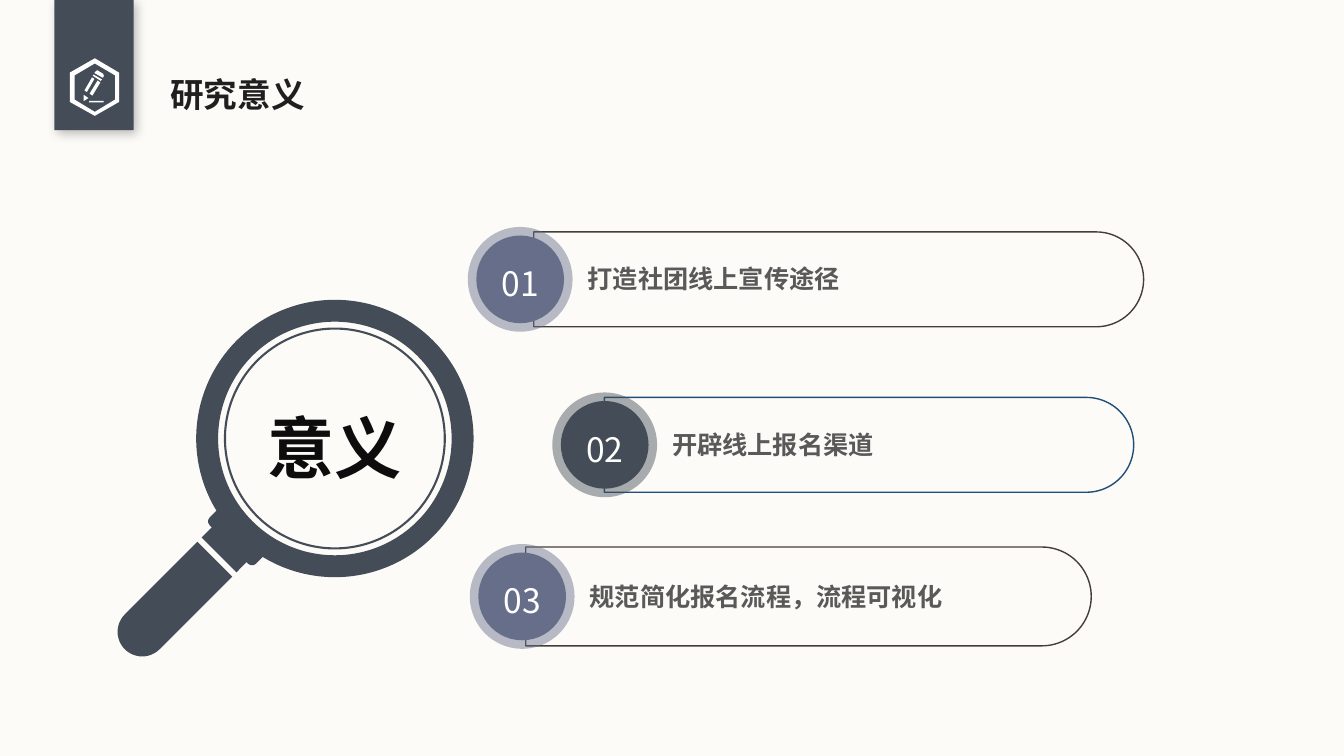
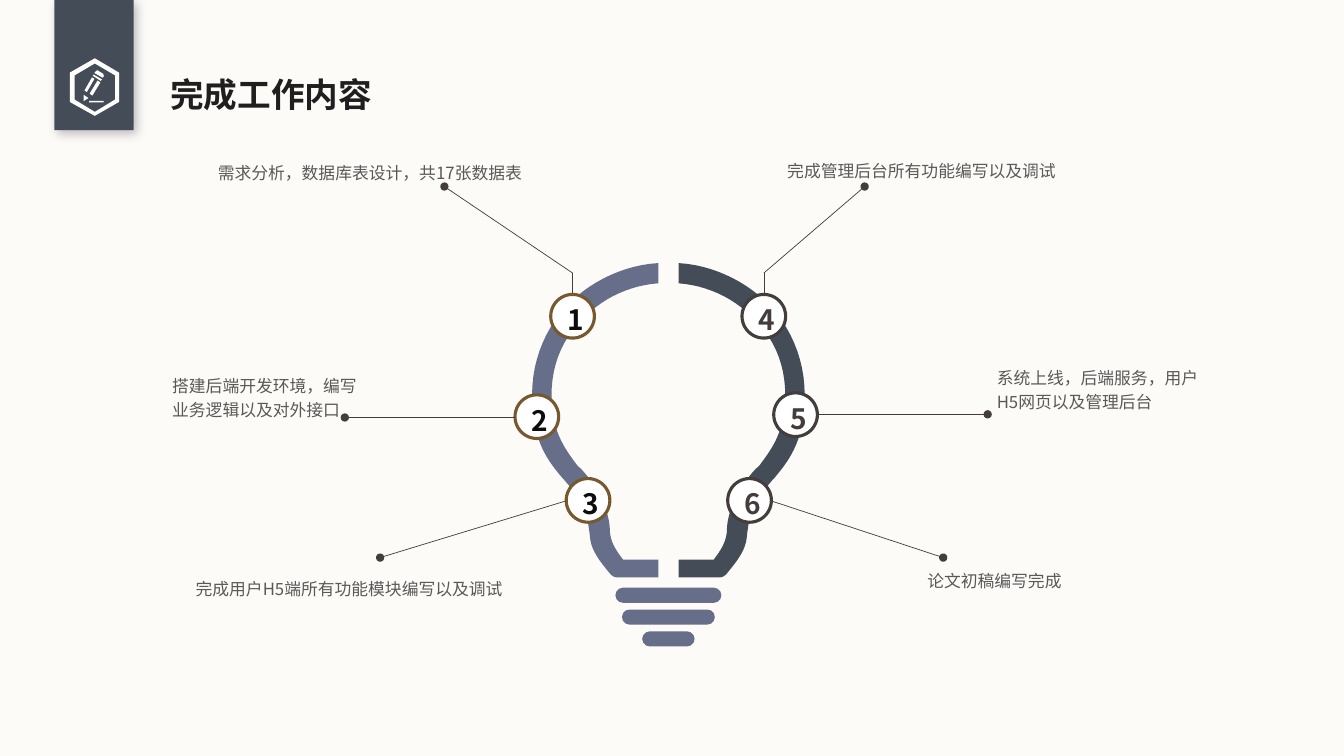
"""Build two thesis slides: research value and finished work."""
from lxml import etree
from pptx import Presentation
from pptx.dml.color import RGBColor
from pptx.enum.shapes import MSO_CONNECTOR, MSO_SHAPE
from pptx.enum.text import MSO_ANCHOR, MSO_AUTO_SIZE, PP_ALIGN
from pptx.oxml.ns import qn
from pptx.util import Cm, Pt

PAPER = RGBColor(0xFC, 0xFB, 0xF7)
SLATE = RGBColor(0x44, 0x4D, 0x57)
MAUVE = RGBColor(0x66, 0x6E, 0x8A)
BROWN = RGBColor(0x76, 0x59, 0x2F)
DARK = RGBColor(0x43, 0x3D, 0x3C)
NAVY = RGBColor(0x1F, 0x4E, 0x78)
INK = RGBColor(0x0D, 0x0D, 0x0D)
HEAD = RGBColor(0x21, 0x1E, 0x20)
GREY = RGBColor(0x59, 0x59, 0x59)
WHITE = RGBColor(0xFF, 0xFF, 0xFF)

OVAL, DONUT = MSO_SHAPE.OVAL, MSO_SHAPE.DONUT
RECT, ROUND = MSO_SHAPE.RECTANGLE, MSO_SHAPE.ROUNDED_RECTANGLE
TAB = MSO_SHAPE.ROUND_2_SAME_RECTANGLE
STRAIGHT = MSO_CONNECTOR.STRAIGHT
TOP, MIDDLE = MSO_ANCHOR.TOP, MSO_ANCHOR.MIDDLE
LEFT, CENTER, JUST = PP_ALIGN.LEFT, PP_ALIGN.CENTER, PP_ALIGN.JUSTIFY
FIXED = MSO_AUTO_SIZE.NONE

SANS, LATIN = "Noto Sans CJK SC", "Calibri"
AXIS = 16.845

ICON = [
    [(2.39, 1.47), (3, 1.83), (3, 2.57), (2.39, 2.92), (1.76, 2.57), (1.76, 1.83)],
    [(2.39, 1.6), (2.9, 1.9), (2.9, 2.51), (2.39, 2.82), (1.88, 2.51), (1.88, 1.9)],
    [(2.25, 2.54), (2.61, 2.54), (2.61, 2.58), (2.25, 2.58)],
    [(2.26, 2.36), (2.46, 2.03), (2.53, 2.08), (2.33, 2.41)],
    [(2.13, 2.28), (2.32, 1.95), (2.38, 1.99), (2.19, 2.32)],
    [(2.11, 2.55), (2.11, 2.39), (2.23, 2.47)],
    [(2.36, 1.88), (2.34, 1.91), (2.54, 2.04), (2.57, 2)],
    [(2.39, 1.82), (2.45, 1.77), (2.6, 1.86), (2.62, 1.92), (2.59, 1.96), (2.38, 1.84)],
]
DOME = [
    (13.92, 10.36), (13.9, 10.23, 13.9, 10.1, 13.9, 9.96),
    (13.9, 9.13, 14.22, 8.45, 14.78, 7.95), (15.24, 7.49, 15.9, 7.19, 16.59, 7.14),
    (16.59, 6.63), (15.75, 6.68, 14.96, 7.06, 14.4, 7.59),
    (13.79, 8.18, 13.41, 9.01, 13.41, 9.96), (13.41, 10.1, 13.41, 10.23, 13.42, 10.36),
]
NECK = [
    (15.37, 13.39), (15.37, 13.21, 15.34, 13, 15.21, 12.68),
    (15.01, 12.27, 14.81, 11.96, 14.55, 11.73), (14.35, 11.46, 14.15, 11.2, 14.02, 10.8),
    (13.49, 10.8), (13.64, 11.38, 13.89, 11.71, 14.17, 12.04),
    (14.38, 12.27, 14.58, 12.52, 14.73, 12.88), (14.83, 13.11, 14.83, 13.28, 14.86, 13.44),
    (14.88, 13.74, 14.94, 13.94, 15.37, 14.45), (15.44, 14.53, 15.49, 14.55, 15.57, 14.55),
    (16.59, 14.55), (16.59, 14.1), (15.7, 14.1), (15.42, 13.74, 15.39, 13.56, 15.37, 13.39),
]
GOALS = [
    ("01", "打造社团线上宣传途径", (13.11, 7.04), 13.45, 15.37, 2.39, MAUVE, DARK),
    ("02", "开辟线上报名渠道", (15.24, 11.21), 15.23, 13.34, 2.39, SLATE, NAVY),
    ("03", "规范简化报名流程，流程可视化", (13.16, 15.03), 13.25, 14.25, 2.49, MAUVE, DARK),
]
TASKS = [
    ("1", (14.43, 7.97), [(14.43, 7.39), (14.43, 6.88), (11.2, 4.7)],
     (5.49, 3.99), ["需求分析，数据库表设计，共17张数据表"]),
    ("2", (13.53, 10.5), [(12.98, 10.52), (8.69, 10.52)],
     (4.34, 9.37), ["搭建后端开发环境，编写", "业务逻辑以及对外接口"]),
    ("3", (14.82, 12.61), [(14.27, 12.62), (9.58, 14.05)],
     (4.93, 14.48), ["完成用户H5端所有功能模块编写以及调试"]),
    ("4", (19.25, 7.97), [(19.25, 7.39), (19.25, 6.88), (21.79, 4.7)],
     (19.84, 3.94), ["完成管理后台所有功能编写以及调试"]),
    ("5", (20.05, 10.45), [(20.6, 10.44), (24.89, 10.44)],
     (25.12, 9.17), ["系统上线，后端服务，用户", "H5网页以及管理后台"]),
    ("6", (18.89, 12.61), [(19.43, 12.62), (23.77, 14.05)],
     (23.37, 14.27), ["论文初稿编写完成"]),
]


def write(frame, lines, size, color, bold=False, align=JUST, anchor=TOP, face=SANS):
    """Fill a text frame, one paragraph for each line."""
    frame.word_wrap = True
    frame.vertical_anchor = anchor
    for i, line in enumerate(lines):
        para = frame.add_paragraph() if i else frame.paragraphs[0]
        para.alignment, para.line_spacing = align, 1.2
        run = para.add_run()
        run.text = line
        font = run.font
        font.size, font.bold, font.name = Pt(size), bold, face
        font.color.rgb = color
        etree.SubElement(font._element, qn("a:ea"), typeface=SANS)


def note(slide, box, lines, size, bold=False, inset=None):
    """Add a box of grey text."""
    frame = slide.shapes.add_textbox(*map(Cm, box)).text_frame
    if inset is not None:
        frame.margin_left = frame.margin_right = Cm(inset)
        frame.margin_top = frame.margin_bottom = Cm(inset)
    write(frame, lines, size, GREY, bold)


def paint(shape, fill=None, line=None, width=1):
    """Set fill and line, and drop the shadow."""
    shape.shadow.inherit = False
    if fill is None:
        shape.fill.background()
    else:
        shape.fill.solid()
        shape.fill.fore_color.rgb = fill
    if line is None:
        shape.line.fill.background()
    else:
        shape.line.color.rgb = line
        shape.line.width = Pt(width)


def place(slide, kind, box, fill=None, line=None, width=1, adj=(), turn=0):
    """Add a preset shape."""
    shape = slide.shapes.add_shape(kind, *map(Cm, box))
    for i, value in enumerate(adj):
        shape.adjustments[i] = value
    shape.rotation = turn
    paint(shape, fill, line, width)
    return shape


def disc(slide, mid, size, fill=None, line=None, width=1, kind=OVAL, adj=()):
    """Add a round shape about its centre."""
    box = (mid[0] - size / 2, mid[1] - size / 2, size, size)
    return place(slide, kind, box, fill, line, width, adj)


def trace(steps, count=12):
    """Turn corners and cubic curves into points."""
    points = []
    for step in steps:
        if len(step) == 2:
            points.append(step)
            continue
        knots = [points[-1], step[:2], step[2:4], step[4:]]
        for i in range(1, count + 1):
            t = i / count
            parts = ((1 - t) ** 3, 3 * t * (1 - t) ** 2, 3 * t * t * (1 - t), t ** 3)
            points.append(tuple(sum(w * k[n] for w, k in zip(parts, knots)) for n in (0, 1)))
    return points


def outline(slide, loops, fill):
    """Draw closed loops as one filled outline."""
    loops = [[(Cm(x), Cm(y)) for x, y in loop] for loop in loops]
    pen = slide.shapes.build_freeform(*loops[0][0])
    for i, loop in enumerate(loops):
        if i:
            pen.move_to(*loop[0])
        pen.add_line_segments(loop[1:], close=True)
    paint(pen.convert_to_shape(), fill)


def leader(slide, points):
    """Draw a thin bent line that ends in a dot."""
    for start, end in zip(points, points[1:]):
        line = slide.shapes.add_connector(STRAIGHT, *map(Cm, start + end))
        line.line.color.rgb = DARK
        line.line.width = Pt(0.5)
        etree.SubElement(line._element.spPr, qn("a:effectLst"))
    etree.SubElement(line.line._get_or_add_ln(), qn("a:tailEnd"), type="oval")


def shade(shape):
    """Give a shape a soft shadow."""
    effects = shape._element.spPr.find(qn("a:effectLst"))
    cast = etree.SubElement(effects, qn("a:outerShdw"), blurRad=str(Pt(8)),
                            dist=str(Pt(3)), dir="2700000", algn="tl", rotWithShape="0")
    tint = etree.SubElement(cast, qn("a:srgbClr"), val="000000")
    etree.SubElement(tint, qn("a:alpha"), val="25000")


def start(deck, text):
    """Add a slide with its ribbon, icon and title."""
    slide = deck.slides.add_slide(deck.slide_layouts[5])
    shade(place(slide, RECT, (1.37, 0, 2, 3.28), SLATE))
    outline(slide, ICON, WHITE)
    title = slide.shapes.title
    title.left, title.top, title.width, title.height = map(Cm, (4.04, 1.52, 10.08, 1.27))
    title.text_frame.auto_size = FIXED
    write(title.text_frame, [text], 24, HEAD, True, LEFT, face=LATIN)
    return slide


def lens(slide, text):
    """Draw the magnifying glass."""
    mid = (8.44, 11.05)
    glass = disc(slide, mid, 5.54, line=SLATE, width=1.5)
    write(glass.text_frame, [text], 48, INK, True, CENTER, MIDDLE)
    disc(slide, mid, 6.99, SLATE, kind=DONUT, adj=[0.079])
    place(slide, TAB, (3.66, 13.62, 1.24, 3.21), SLATE, adj=(0.5, 0), turn=225)
    place(slide, TAB, (5.23, 13.19, 1.24, 0.93), SLATE, adj=(0.5, 0), turn=45)
    place(slide, ROUND, (5.23, 13.03, 1.65, 0.81), SLATE, turn=45)


def goal(slide, num, text, mid, left, wide, high, fill, edge):
    """Draw a numbered pill with its text."""
    x, y = mid
    box = (left + (wide - high) / 2, y - wide / 2, high, wide)
    place(slide, TAB, box, line=edge, adj=(0.5, 0), turn=90)
    note(slide, (x + 1.45, y - 0.67, 12, 1.09), [text], 18, True)
    badge = disc(slide, mid, 2.21, fill)
    write(badge.text_frame, [num], 24, WHITE, False, CENTER, MIDDLE)
    ring = disc(slide, mid, 2.64, fill, kind=DONUT, adj=[0.096])
    tint = ring._element.spPr.find(qn("a:solidFill"))[0]
    etree.SubElement(tint, qn("a:alpha"), val="46000")


def bulb(slide):
    """Draw the light bulb, its right half mirrored."""
    for i, wide in enumerate((2.67, 2.34, 1.32)):
        box = (AXIS - wide / 2, 14.81 + 0.55 * i, wide, 0.38)
        place(slide, ROUND, box, MAUVE, adj=[0.5])
    for part in (DOME, NECK):
        loop = trace(part)
        outline(slide, [loop], MAUVE)
        outline(slide, [[(2 * AXIS - x, y) for x, y in loop]], SLATE)


def task(slide, num, mid, points, spot, lines):
    """Add a numbered ball, its leader and its note."""
    edge, color = (BROWN, INK) if num < "4" else (DARK, DARK)
    ball = disc(slide, mid, 1.1, WHITE, edge, 2.25)
    write(ball.text_frame, [num], 20, color, True, CENTER, MIDDLE)
    leader(slide, points)
    note(slide, spot + (7.87, 0.56 * len(lines)), lines, 12, inset=0)


def main():
    """Build and save the deck."""
    deck = Presentation()
    deck.slide_width, deck.slide_height = Cm(33.87), Cm(19.05)
    back = deck.slide_master.background.fill
    back.solid()
    back.fore_color.rgb = PAPER

    slide = start(deck, "研究意义")
    lens(slide, "意义")
    for item in GOALS:
        goal(slide, *item)

    slide = start(deck, "完成工作内容")
    bulb(slide)
    for item in TASKS:
        task(slide, *item)
    deck.save("out.pptx")


if __name__ == "__main__":
    main()
